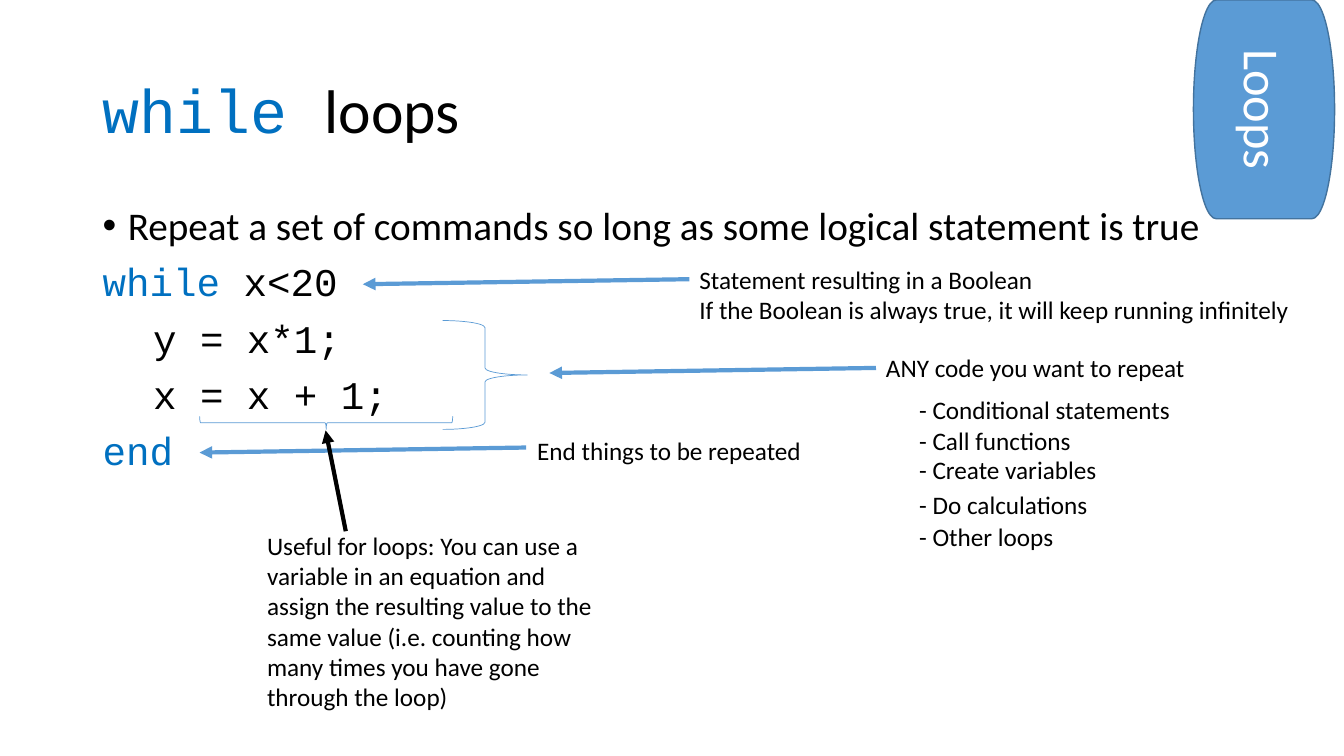
"""Build the slide that explains while loops."""
from lxml import etree
from pptx import Presentation
from pptx.dml.color import RGBColor
from pptx.enum.shapes import MSO_CONNECTOR, MSO_SHAPE
from pptx.enum.text import MSO_ANCHOR, PP_ALIGN
from pptx.oxml.ns import qn
from pptx.util import Inches, Pt

STRAIGHT = MSO_CONNECTOR.STRAIGHT
TERMINATOR = MSO_SHAPE.FLOWCHART_TERMINATOR
RIGHT_BRACE = MSO_SHAPE.RIGHT_BRACE
TOP, MIDDLE = MSO_ANCHOR.TOP, MSO_ANCHOR.MIDDLE
CENTER = PP_ALIGN.CENTER
BLACK = RGBColor(0x00, 0x00, 0x00)
WHITE = RGBColor(0xFF, 0xFF, 0xFF)
KEYWORD_BLUE = RGBColor(0x00, 0x70, 0xC0)
SHAPE_BLUE = RGBColor(0x5B, 0x9B, 0xD5)
OUTLINE_BLUE = RGBColor(0x43, 0x73, 0x9E)
BODY_FONT, CODE_FONT = "Calibri", "Courier New"

presentation = Presentation()
presentation.slide_width = Inches(13.33)
presentation.slide_height = Inches(7.5)
slide = presentation.slides.add_slide(presentation.slide_layouts[6])
COLUMN = presentation.slide_width / 100
ROW = presentation.slide_height / 100


def add_text(left, top, width, height, paragraphs, size, anchor=TOP):
    """Add a text box whose paragraphs are lists of (text, font, colour)."""
    box = slide.shapes.add_textbox(
        int(left * COLUMN), int(top * ROW), int(width * COLUMN), int(height * ROW))
    text_frame = box.text_frame
    text_frame.word_wrap = True
    text_frame.vertical_anchor = anchor
    text_frame.text = "\n".join(pieces[0][0] for pieces in paragraphs)
    for paragraph, pieces in zip(text_frame.paragraphs, paragraphs):
        for text, _, _ in pieces[1:]:
            paragraph.add_run().text = text
        for run, (_, font, color) in zip(paragraph.runs, pieces):
            run.font.name = font
            run.font.size = Pt(size)
            run.font.color.rgb = color
    return text_frame


def add_arrow(start_x, start_y, end_x, end_y, color):
    """Add a thick line with a triangular head at its end."""
    arrow = slide.shapes.add_connector(
        STRAIGHT, int(start_x * COLUMN), int(start_y * ROW),
        int(end_x * COLUMN), int(end_y * ROW))
    arrow.line.color.rgb = color
    arrow.line.width = Pt(3)
    etree.SubElement(arrow.line._get_or_add_ln(), qn("a:tailEnd"), type="triangle")
    etree.SubElement(arrow._element.spPr, qn("a:effectLst"))


title = [("while ", CODE_FONT, KEYWORD_BLUE), ("loops", BODY_FONT, BLACK)]
title_frame = add_text(6.9, 5.33, 86.25, 19.33, [title], 44, MIDDLE)
title_frame.paragraphs[0].line_spacing = 0.9

body = [
    [("Repeat a set of commands so long as some logical statement is true",
      BODY_FONT, BLACK)],
    [("while ", CODE_FONT, KEYWORD_BLUE), ("x<20", CODE_FONT, BLACK)],
    [("\ty = x*1;", CODE_FONT, BLACK)],
    [("\tx = x + 1;", CODE_FONT, BLACK)],
    [("end", CODE_FONT, KEYWORD_BLUE)],
]
body_frame = add_text(6.9, 26.67, 86.25, 63.47, body, 28)
for paragraph in body_frame.paragraphs:
    paragraph.line_spacing = 0.9
    paragraph.space_before = Pt(10)
bullet = body_frame.paragraphs[0]._p.get_or_add_pPr()
bullet.set("marL", str(Inches(0.25)))
bullet.set("indent", str(Inches(-0.25)))
etree.SubElement(bullet, qn("a:buFont"), typeface="Arial")
etree.SubElement(bullet, qn("a:buChar"), char="•")

tab = slide.shapes.add_shape(
    TERMINATOR, int(88.8 * COLUMN), 0, int(10.5 * COLUMN), int(28.93 * ROW))
tab.shadow.inherit = False
tab.fill.solid()
tab.fill.fore_color.rgb = SHAPE_BLUE
tab.line.color.rgb = OUTLINE_BLUE
tab.line.width = Pt(1)
tab.text_frame.text = "Loops"
tab.text_frame.vertical_anchor = MIDDLE
tab.text_frame._txBody.bodyPr.set("vert", "vert")
tab_paragraph = tab.text_frame.paragraphs[0]
tab_paragraph.alignment = CENTER
tab_paragraph.font.name = BODY_FONT
tab_paragraph.font.size = Pt(36)
tab_paragraph.font.color.rgb = WHITE

code_braces = [(32.93, 42.4, 6.3, 14.4, 0), (23.78, 39.2, 0.98, 33.47, 90)]
for left, top, width, height, rotation in code_braces:
    brace = slide.shapes.add_shape(
        RIGHT_BRACE, int(left * COLUMN), int(top * ROW),
        int(width * COLUMN), int(height * ROW))
    brace.rotation = rotation
    brace.shadow.inherit = False
    brace.fill.background()
    brace.line.color.rgb = SHAPE_BLUE
    brace.line.width = Pt(0.5)

for start_x, start_y in [(51.3, 36.93), (65.18, 48.67), (39.15, 59.2)]:
    add_arrow(start_x, start_y, start_x - 24.3, start_y + 0.67, SHAPE_BLUE)
add_arrow(25.73, 70.27, 24.23, 56.93, BLACK)

notes = [
    (51.3, 34.27, 46.73, 9.47,
     ["Statement resulting in a Boolean",
      "If the Boolean is always true, it will keep running infinitely"]),
    (65.18, 46, 27.83, 5.33, ["ANY code you want to repeat"]),
    (39.23, 56.93, 27.83, 5.33, ["End things to be repeated"]),
    (19.13, 69.47, 26.85, 25.6,
     ["Useful for loops: You can use a variable in an equation and assign the "
      "resulting value to the same value (i.e. counting how many times you have "
      "gone through the loop)"]),
]
repeatable_code = [
    (51.47, "Conditional statements"), (55.6, "Call functions"),
    (59.47, "Create variables"), (64, "Do calculations"), (68.27, "Other loops"),
]
for top, example in repeatable_code:
    notes.append((67.65, top, 27.83, 5.33, [f"- {example}"]))
for left, top, width, height, lines in notes:
    paragraphs = [[(line, BODY_FONT, BLACK)] for line in lines]
    add_text(left, top, width, height, paragraphs, 18)

presentation.save("out.pptx")
